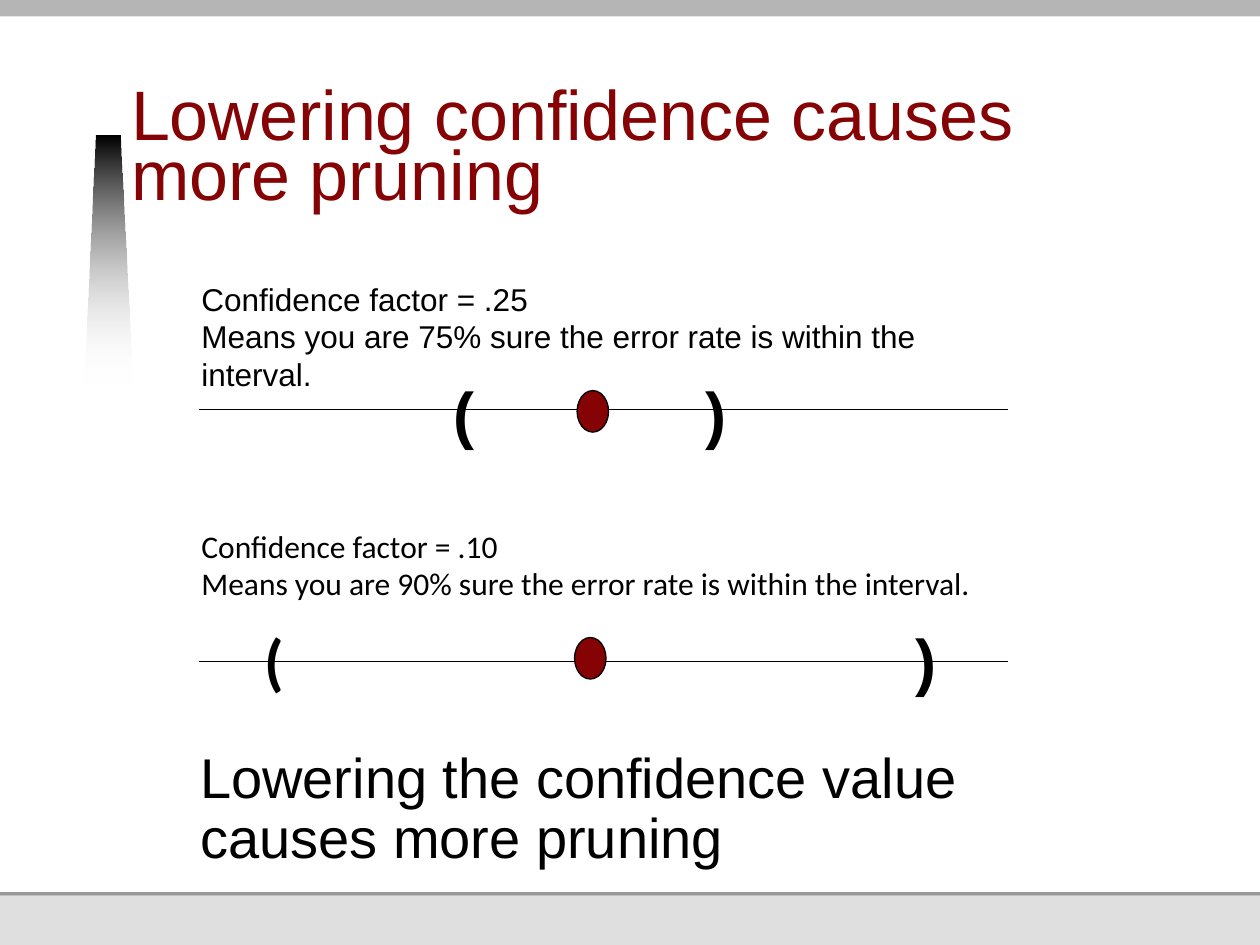
from dataclasses import dataclass
from lxml.etree import SubElement
from pptx import Presentation
from pptx.dml.color import RGBColor
from pptx.enum.shapes import MSO_CONNECTOR as Connector, MSO_SHAPE as Shape
from pptx.enum.text import MSO_ANCHOR as Anchor
from pptx.oxml.ns import qn
from pptx.util import Inches, Pt


@dataclass(frozen=True)
class Theme:
    """Colours, fonts and type sizes of the slide."""
    accent: str = "850205"
    ink: str = "000000"
    paper: str = "FFFFFF"
    top_band: str = "B5B5B5"
    rule: str = "989898"
    footer: str = "DFDFDF"
    sans: str = "Arial"
    alternate: str = "Calibri"
    title: int = 40
    bracket: int = 36
    conclusion: int = 32
    body: int = 18
    hairline: float = 0.75


THEME = Theme()


def colour(value):
    """Turn a hex string into a colour."""
    return RGBColor.from_string(value)


def add_solid(page, kind, box, fill, line=None):
    """Add a flat preset shape, outlined only when a line colour is given."""
    shape = page.shapes.add_shape(kind, *map(Inches, box))
    shape.shadow.inherit = False
    shape.fill.solid()
    shape.fill.fore_color.rgb = colour(fill)
    if line:
        shape.line.color.rgb = colour(line)
        shape.line.width = Pt(THEME.hairline)
    else:
        shape.line.fill.background()
    return shape


def add_text(page, box, lines, size, font=THEME.sans, ink=THEME.ink,
             bold=False, wrap=True, spacing=None, frame_format=None):
    """Add a text box with one paragraph for each line."""
    frame = page.shapes.add_textbox(*map(Inches, box)).text_frame
    frame.word_wrap = wrap
    for name, value in (frame_format or {}).items():
        setattr(frame, name, value)
    for index, line in enumerate(lines):
        para = frame.add_paragraph() if index else frame.paragraphs[0]
        para.line_spacing = spacing
        span = para.add_run()
        span.text = line
        for name, value in {"name": font, "size": Pt(size), "bold": bold}.items():
            setattr(span.font, name, value)
        span.font.color.rgb = colour(ink)
    return frame


def add_bands(page, box):
    """Draw the grey bands along the top and bottom of the page."""
    left, top, width, height = box
    for start, depth, fill in ((0, 0.13, THEME.top_band),
                               (height - 0.42, 0.03, THEME.rule),
                               (height - 0.39, 0.39, THEME.footer)):
        add_solid(page, Shape.RECTANGLE, (left, top + start, width, depth), fill)


def add_beam(page, box):
    """Draw the tapered beam that fades out downwards."""
    left, top, width, height = box
    corners = [(left + 0.09, top), (left + width - 0.1, top),
               (left + width, top + height), (left, top + height)]
    points = [(Inches(x), Inches(y)) for x, y in corners]
    builder = page.shapes.build_freeform(*points[0])
    builder.add_line_segments(points[1:], close=True)
    beam = builder.convert_to_shape()
    beam.shadow.inherit = False
    beam.line.fill.background()
    beam.fill.gradient()
    beam.fill.gradient_angle = 270
    for stop, position, shade in zip(beam.fill.gradient_stops, (0, 1),
                                     (THEME.ink, THEME.paper)):
        stop.position = position
        stop.color.rgb = colour(shade)
    last_colour = list(beam.element.iter(qn("a:srgbClr")))[-1]
    SubElement(last_colour, qn("a:alpha"), val="0")


def add_title(page, box):
    """Place the heading at the bottom of its box."""
    add_text(page, box, ["Lowering confidence causes more pruning"],
             THEME.title, ink=THEME.accent, spacing=Pt(34),
             frame_format={"margin_left": 0, "margin_right": 0, "margin_top": 0,
                           "margin_bottom": Inches(0.05),
                           "vertical_anchor": Anchor.BOTTOM})


def add_interval(page, box, factor, certainty, font, axis, dot, brackets):
    """Draw a caption above an axis with an estimate and its bounds."""
    left, top, width, height = box
    add_text(page, box, [f"Confidence factor = {factor}",
                         f"Means you are {certainty} sure the error rate "
                         "is within the interval."],
             THEME.body, font, wrap=False)
    line = page.shapes.add_connector(
        Connector.STRAIGHT, Inches(left + 0.08), Inches(top + axis),
        Inches(left + 6.5), Inches(top + axis))
    line.line.color.rgb = colour(THEME.ink)
    line.line.width = Pt(THEME.hairline)
    SubElement(line.element.spPr, qn("a:effectLst"))
    dot_left, dot_top = dot
    add_solid(page, Shape.OVAL, (left + dot_left, top + dot_top, 0.25, 0.33),
              THEME.accent, THEME.ink)
    for sign, offset, face in brackets:
        add_text(page, (left + offset, top + 0.75, 0.37, 0.7), [sign],
                 THEME.bracket, face, bold=True, wrap=False)


def add_conclusion(page, box):
    """Place the indented closing statement."""
    frame = add_text(page, box,
                     ["Lowering the confidence value causes more pruning"],
                     THEME.conclusion, spacing=0.9)
    properties = frame.paragraphs[0]._p.get_or_add_pPr()
    properties.set("marL", str(Inches(0.5)))
    properties.set("indent", "0")


def main():
    """Build and save the slide."""
    deck = Presentation()
    deck.slide_width, deck.slide_height = Inches(10), Inches(7.5)
    page = deck.slides.add_slide(deck.slide_layouts[6])
    add_bands(page, (0, 0, 10, 7.5))
    add_beam(page, (0.67, 1.08, 0.38, 1.97))
    add_title(page, (1.04, 0.67, 7.27, 1.08))
    add_interval(page, (1.5, 2.17, 6.81, 0.7), ".25", "75%", THEME.sans,
                 axis=1.08, dot=(3.08, 0.93),
                 brackets=(("(", 2, THEME.sans), (")", 4, THEME.sans)))
    add_interval(page, (1.5, 4.13, 7.58, 0.7), ".10", "90%", THEME.alternate,
                 axis=1.12, dot=(3.06, 0.93),
                 brackets=(("(", 0.5, THEME.alternate), (")", 5.67, THEME.sans)))
    add_conclusion(page, (0.99, 5.9, 6.73, 1.08))
    deck.save("out.pptx")


if __name__ == "__main__":
    main()
